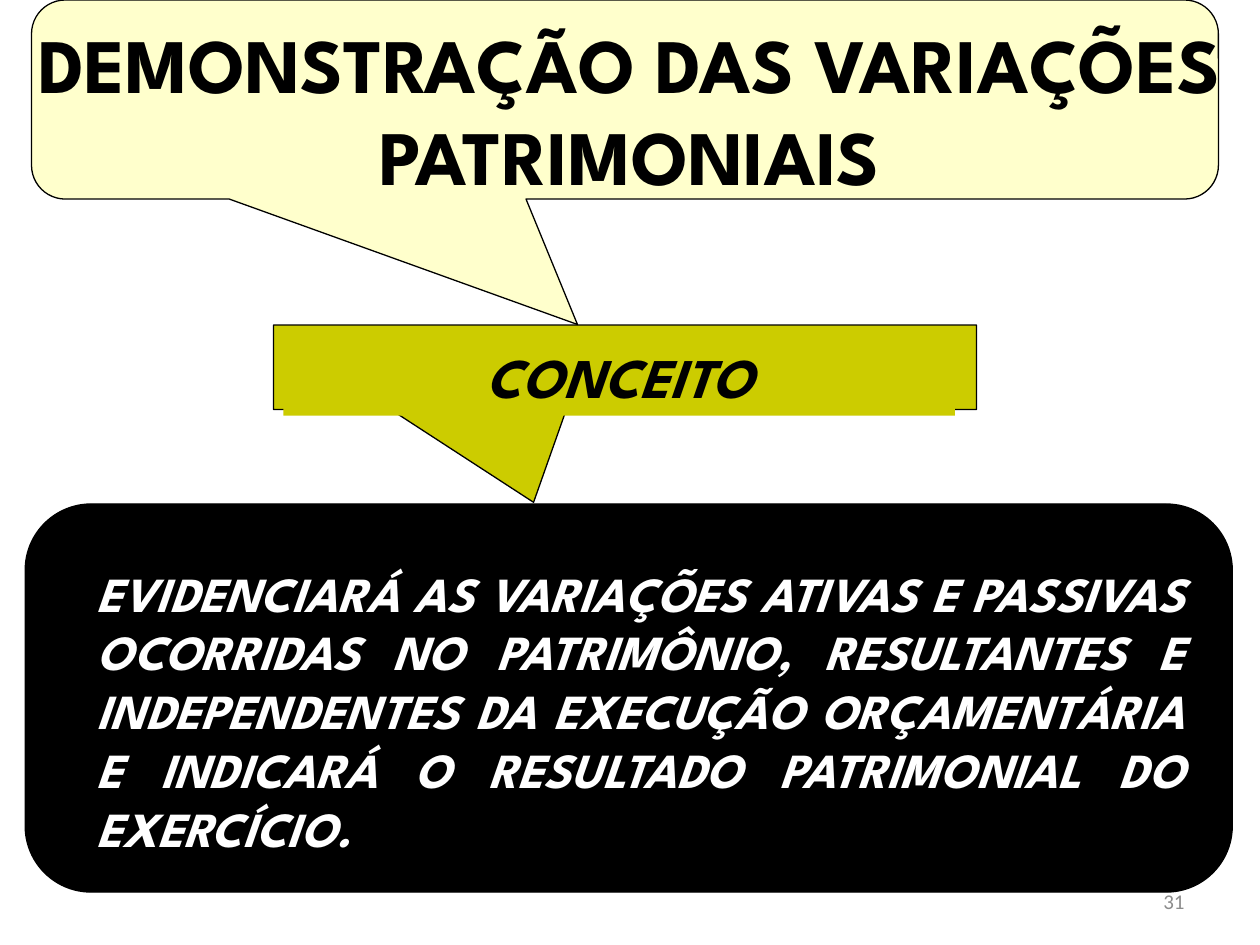
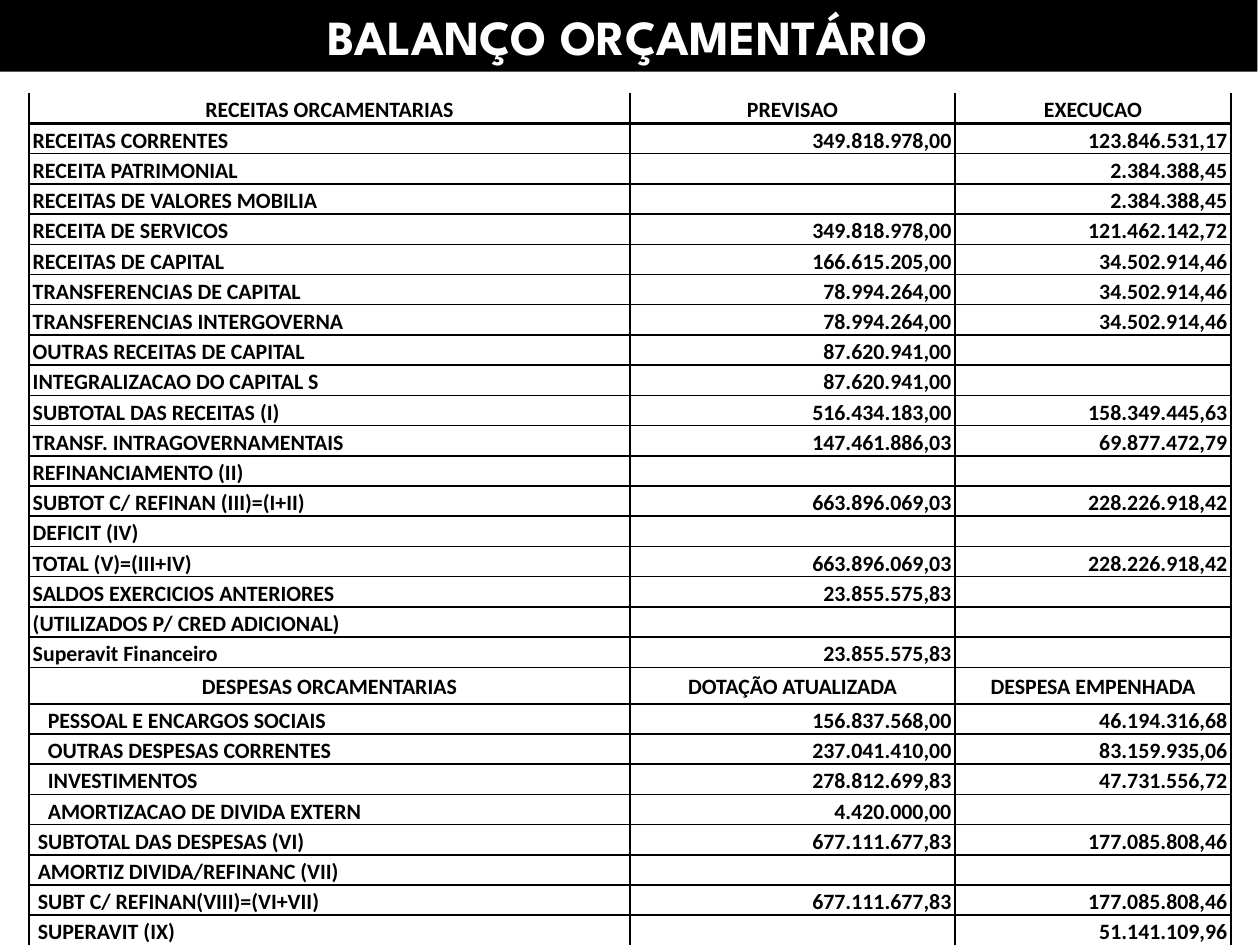
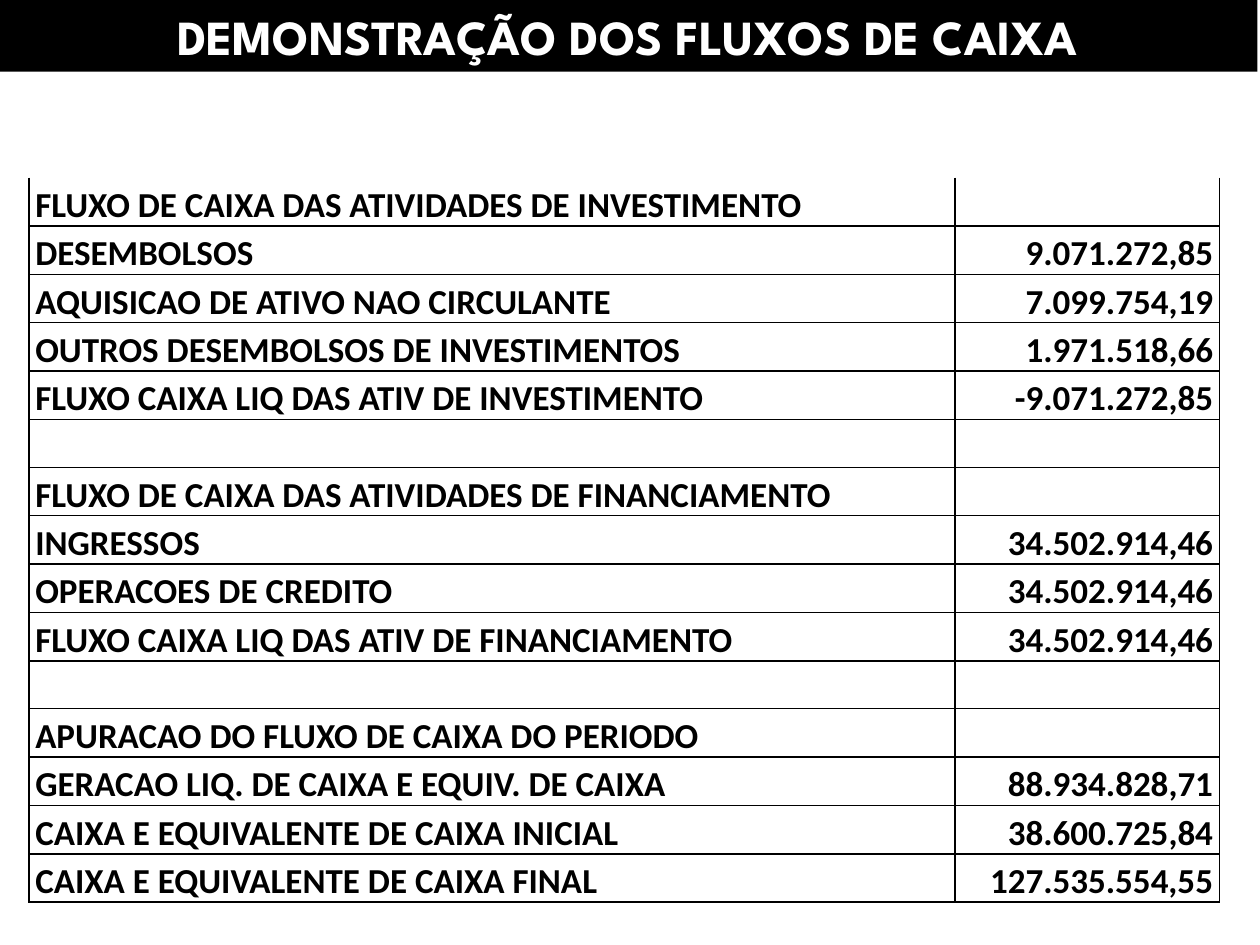
"""Build three slides on public accounting statements."""
import dataclasses
import typing

import lxml.etree
import pptx
import pptx.dml.color
import pptx.enum.shapes
import pptx.enum.text
import pptx.oxml.ns
import pptx.util

Inches = pptx.util.Inches
Pt = pptx.util.Pt
Align = pptx.enum.text.PP_ALIGN
Anchor = pptx.enum.text.MSO_ANCHOR
Form = pptx.enum.shapes.MSO_SHAPE
qn = pptx.oxml.ns.qn

COLORS = {
    "black": "000000",
    "white": "FFFFFF",
    "cream": "FFFFCC",
    "olive": "CCCC00",
    "gray": "8C8C8C",
}
TITLE = {"name": "League Spartan", "bold": True}
SLANT = {**TITLE, "italic": True}
CELL = {"name": "Calibri", "bold": True}


@dataclasses.dataclass
class Text:
    words: str
    size: float
    color: str = "black"
    style: dict = dataclasses.field(default_factory=lambda: TITLE)
    align: Align = Align.CENTER
    anchor: Anchor = Anchor.TOP


@dataclasses.dataclass
class Box:
    area: tuple
    form: typing.Optional[Form] = None
    fill: str = "black"
    line: bool = False
    adjust: tuple = ()
    text: typing.Optional[Text] = None


class Row(typing.NamedTuple):
    cells: tuple
    pad: float = 0
    head: bool = False
    tall: float = 0


@dataclasses.dataclass
class Grid:
    left: float
    top: float
    cols: tuple
    tall: float
    size: float
    inset: float
    rows: tuple


def rgb(name: str) -> pptx.dml.color.RGBColor:
    """Return the named colour."""
    return pptx.dml.color.RGBColor.from_string(COLORS[name])


def apply(target: typing.Any, values: dict) -> None:
    """Set each format value on the target."""
    for key, value in values.items():
        setattr(target, key, value)


def write(par: typing.Any, text: Text) -> None:
    """Write one styled run into a paragraph."""
    par.alignment = text.align
    run = par.add_run()
    run.text = text.words
    apply(run.font, {**text.style, "size": Pt(text.size)})
    run.font.color.rgb = rgb(text.color)


def draw(slide: typing.Any, box: Box) -> None:
    """Draw a shape or a text box."""
    area = [Inches(x) for x in box.area]
    if box.form is None:
        shape = slide.shapes.add_textbox(*area)
    else:
        shape = slide.shapes.add_shape(box.form, *area)
        shape.shadow.inherit = False
        shape.fill.solid()
        shape.fill.fore_color.rgb = rgb(box.fill)
        for spot, value in enumerate(box.adjust):
            shape.adjustments[spot] = value
        if box.line:
            shape.line.color.rgb = rgb("black")
            shape.line.width = Pt(0.75)
        else:
            shape.line.fill.background()
    if box.text:
        frame = shape.text_frame
        apply(frame, {"word_wrap": True, "vertical_anchor": box.text.anchor})
        write(frame.paragraphs[0], box.text)


def edge(cell: typing.Any, side: str, width: float) -> None:
    """Add one cell border, or none for zero width."""
    prop = cell._tc.get_or_add_tcPr()
    line = lxml.etree.SubElement(prop, qn(f"a:ln{side}"), w=str(Pt(width)))
    if width:
        fill = lxml.etree.SubElement(line, qn("a:solidFill"))
        lxml.etree.SubElement(fill, qn("a:srgbClr"), val=COLORS["black"])
    else:
        lxml.etree.SubElement(line, qn("a:noFill"))


def table(slide: typing.Any, grid: Grid) -> None:
    """Draw a bordered table of labels and amounts."""
    count = len(grid.rows)
    frame = slide.shapes.add_table(
        count, len(grid.cols), Inches(grid.left), Inches(grid.top),
        Inches(sum(grid.cols)), Inches(grid.tall * count))
    body = frame.table
    apply(body, {"first_row": False, "horz_banding": False})
    for col, width in zip(body.columns, grid.cols):
        col.width = Inches(width)
    rule = 0
    for r, row in enumerate(grid.rows):
        body.rows[r].height = Inches(row.tall or grid.tall)
        base = 2.25 if r == 0 and row.head else 1
        for c in range(len(grid.cols)):
            cell = body.cell(r, c)
            pad = row.pad if c == 0 else 0
            apply(cell, {
                "margin_left": Inches(grid.inset + pad),
                "margin_right": Inches(grid.inset),
                "margin_top": 0,
                "margin_bottom": 0,
                "vertical_anchor": Anchor.MIDDLE if row.tall else Anchor.BOTTOM,
            })
            for side, width in zip("LRTB", (1, 1, rule, base)):
                edge(cell, side, width)
            cell.fill.background()
            par = cell.text_frame.paragraphs[0]
            par.line_spacing = 1.15
            words = row.cells[c] if c < len(row.cells) else ""
            if words:
                side = Align.RIGHT if c else Align.LEFT
                align = Align.CENTER if row.head else side
                write(par, Text(words, grid.size, style=CELL, align=align))
            else:
                lxml.etree.SubElement(
                    par._p, qn("a:endParaRPr"), sz=str(int(grid.size * 100)))
        rule = base


def band(slide: typing.Any, title: str) -> None:
    """Draw the black title band."""
    draw(slide, Box((-0.02, 0, 10, 0.57), Form.RECTANGLE,
                    text=Text(title, 28, "white")))


CONCEPT = (
    Box((7.17, 6.95, 2.33, 0.4),
        text=Text("31", 12, "gray", {"name": "Calibri"}, Align.RIGHT, Anchor.MIDDLE)),
    Box((2.17, 2.58, 5.58, 0.67), Form.RECTANGULAR_CALLOUT, "olive", True,
        (-0.13, 1.6)),
    Box((0.25, 0, 9.42, 1.58), Form.ROUNDED_RECTANGULAR_CALLOUT, "cream", True,
        (-0.04, 1.13, 0.17)),
    Box((0, 0.08, 10, 1.58),
        text=Text("DEMONSTRAÇÃO DAS VARIAÇÕES PATRIMONIAIS", 44)),
    Box((2.25, 2.67, 5.33, 0.63), Form.RECTANGLE, "olive",
        text=Text("CONCEITO", 32, style=SLANT)),
    Box((0.2, 4, 9.58, 3.08), Form.ROUNDED_RECTANGLE, "black", True, (0.17,)),
    Box((0.67, 4.42, 8.83, 2.44), text=Text(
        "EVIDENCIARÁ AS VARIAÇÕES ATIVAS E PASSIVAS OCORRIDAS NO PATRIMÔNIO, "
        "RESULTANTES E INDEPENDENTES DA EXECUÇÃO ORÇAMENTÁRIA E INDICARÁ O "
        "RESULTADO PATRIMONIAL DO EXERCÍCIO.", 28, "white", SLANT, Align.JUSTIFY)),
)

BUDGET = Grid(0.23, 0.74, (4.77, 2.58, 2.19), 0.24, 12.5, 0.03, (
    Row(("RECEITAS ORCAMENTARIAS", "PREVISAO", "EXECUCAO"), head=True),
    Row(("RECEITAS CORRENTES", "349.818.978,00", "123.846.531,17")),
    Row(("RECEITA PATRIMONIAL", "", "2.384.388,45")),
    Row(("RECEITAS DE VALORES MOBILIA", "", "2.384.388,45")),
    Row(("RECEITA DE SERVICOS", "349.818.978,00", "121.462.142,72")),
    Row(("RECEITAS DE CAPITAL", "166.615.205,00", "34.502.914,46")),
    Row(("TRANSFERENCIAS DE CAPITAL", "78.994.264,00", "34.502.914,46")),
    Row(("TRANSFERENCIAS INTERGOVERNA", "78.994.264,00", "34.502.914,46")),
    Row(("OUTRAS RECEITAS DE CAPITAL", "87.620.941,00")),
    Row(("INTEGRALIZACAO DO CAPITAL S", "87.620.941,00")),
    Row(("SUBTOTAL DAS RECEITAS (I)", "516.434.183,00", "158.349.445,63")),
    Row(("TRANSF. INTRAGOVERNAMENTAIS", "147.461.886,03", "69.877.472,79")),
    Row(("REFINANCIAMENTO (II)",)),
    Row(("SUBTOT C/ REFINAN (III)=(I+II)", "663.896.069,03", "228.226.918,42")),
    Row(("DEFICIT (IV)",)),
    Row(("TOTAL (V)=(III+IV)", "663.896.069,03", "228.226.918,42")),
    Row(("SALDOS EXERCICIOS ANTERIORES", "23.855.575,83")),
    Row(("(UTILIZADOS P/ CRED ADICIONAL)",)),
    Row(("Superavit Financeiro", "23.855.575,83")),
    Row(("DESPESAS ORCAMENTARIAS", "DOTAÇÃO ATUALIZADA", "DESPESA EMPENHADA"),
        head=True, tall=0.29),
    Row(("PESSOAL E ENCARGOS SOCIAIS", "156.837.568,00", "46.194.316,68"), 0.12),
    Row(("OUTRAS DESPESAS CORRENTES", "237.041.410,00", "83.159.935,06"), 0.12),
    Row(("INVESTIMENTOS", "278.812.699,83", "47.731.556,72"), 0.12),
    Row(("AMORTIZACAO DE DIVIDA EXTERN", "4.420.000,00"), 0.12),
    Row(("SUBTOTAL DAS DESPESAS (VI)", "677.111.677,83", "177.085.808,46"), 0.04),
    Row(("AMORTIZ DIVIDA/REFINANC (VII)",), 0.04),
    Row(("SUBT C/ REFINAN(VIII)=(VI+VII)", "677.111.677,83", "177.085.808,46"), 0.04),
    Row(("SUPERAVIT (IX)", "", "51.141.109,96"), 0.04),
))

FLOW = Grid(0.23, 1.41, (7.35, 2.1), 0.38, 20, 0.05, (
    Row(("FLUXO DE CAIXA DAS ATIVIDADES DE INVESTIMENTO",)),
    Row(("DESEMBOLSOS", "9.071.272,85")),
    Row(("AQUISICAO DE ATIVO NAO CIRCULANTE", "7.099.754,19")),
    Row(("OUTROS DESEMBOLSOS DE INVESTIMENTOS", "1.971.518,66")),
    Row(("FLUXO CAIXA LIQ DAS ATIV DE INVESTIMENTO", "-9.071.272,85")),
    Row(()),
    Row(("FLUXO DE CAIXA DAS ATIVIDADES DE FINANCIAMENTO",)),
    Row(("INGRESSOS", "34.502.914,46")),
    Row(("OPERACOES DE CREDITO", "34.502.914,46")),
    Row(("FLUXO CAIXA LIQ DAS ATIV DE FINANCIAMENTO", "34.502.914,46")),
    Row(()),
    Row(("APURACAO DO FLUXO DE CAIXA DO PERIODO",)),
    Row(("GERACAO LIQ. DE CAIXA E EQUIV. DE CAIXA", "88.934.828,71")),
    Row(("CAIXA E EQUIVALENTE DE CAIXA INICIAL", "38.600.725,84")),
    Row(("CAIXA E EQUIVALENTE DE CAIXA FINAL", "127.535.554,55")),
))


def main() -> None:
    """Build and save the deck."""
    deck = pptx.Presentation()
    apply(deck, {"slide_width": Inches(10), "slide_height": Inches(7.5)})
    blank = deck.slide_layouts[6]
    slide = deck.slides.add_slide(blank)
    for box in CONCEPT:
        draw(slide, box)
    for title, grid in (("BALANÇO ORÇAMENTÁRIO", BUDGET),
                        ("DEMONSTRAÇÃO DOS FLUXOS DE CAIXA", FLOW)):
        slide = deck.slides.add_slide(blank)
        band(slide, title)
        table(slide, grid)
    deck.save("out.pptx")


if __name__ == "__main__":
    main()
